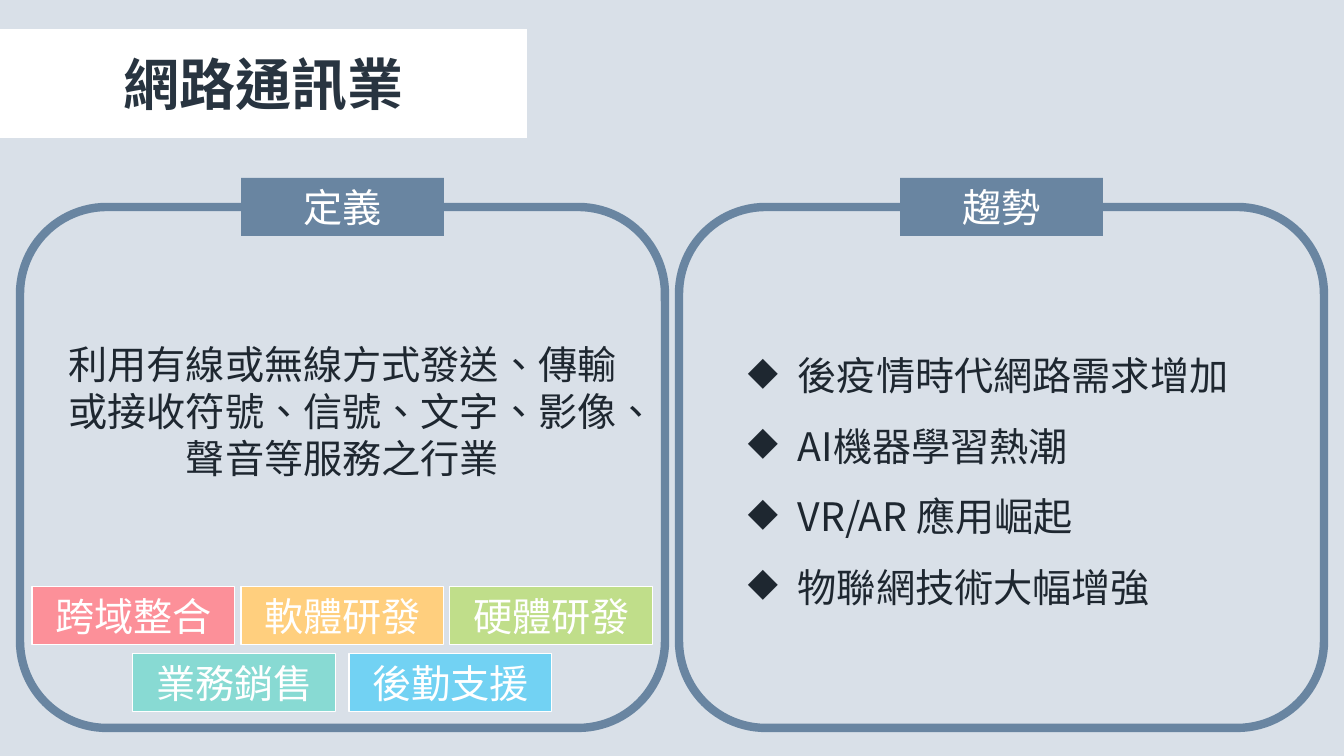
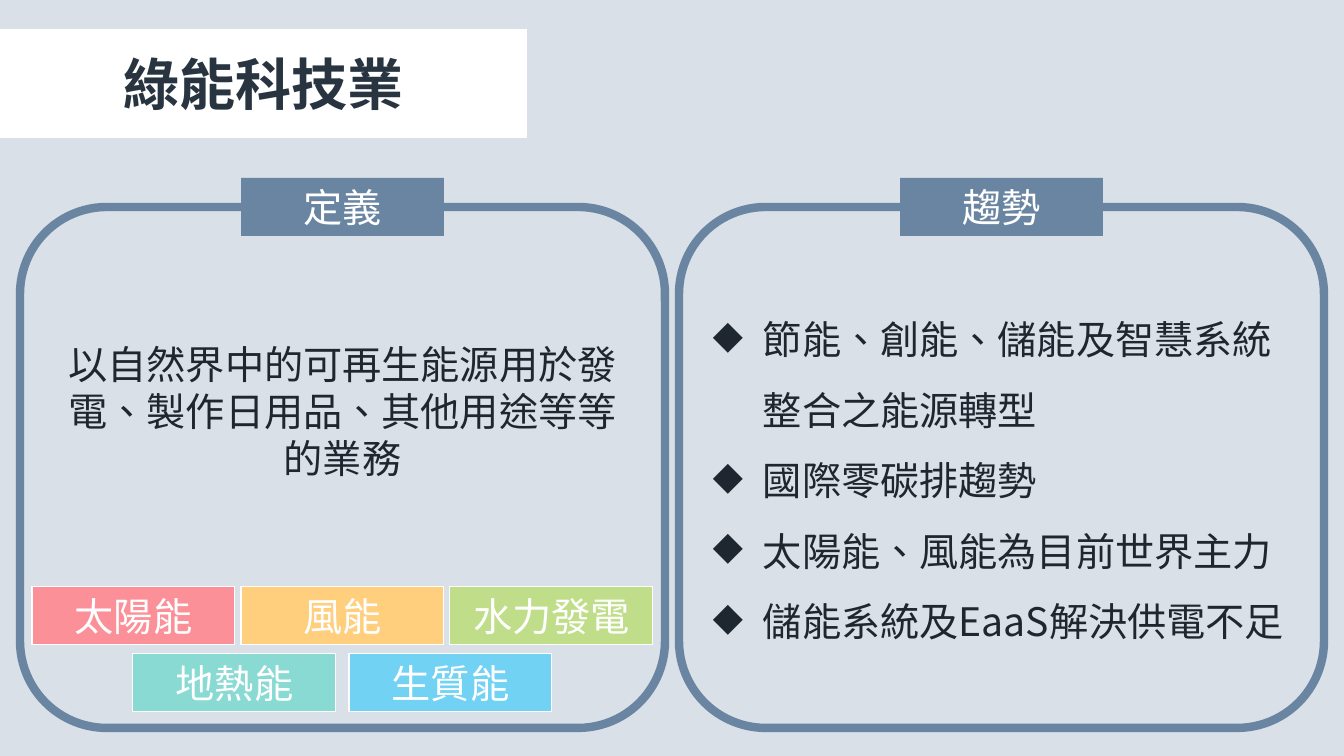
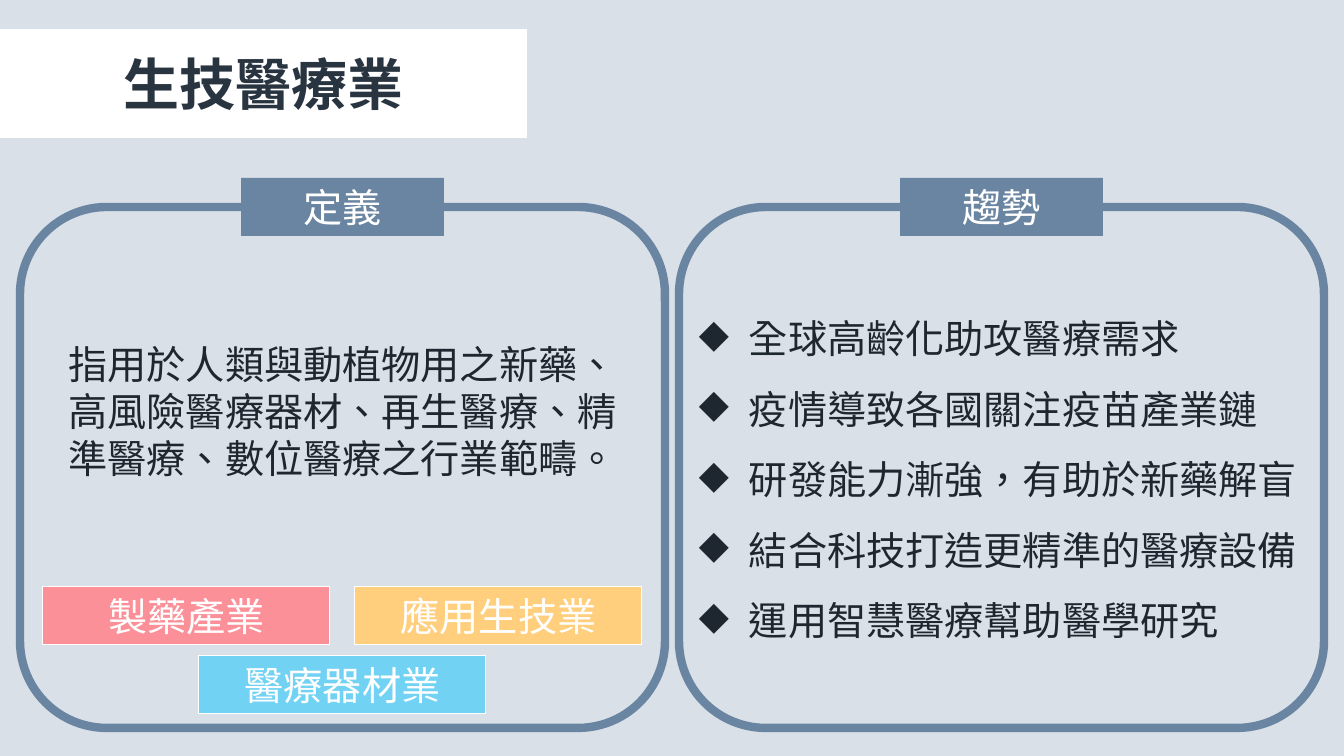
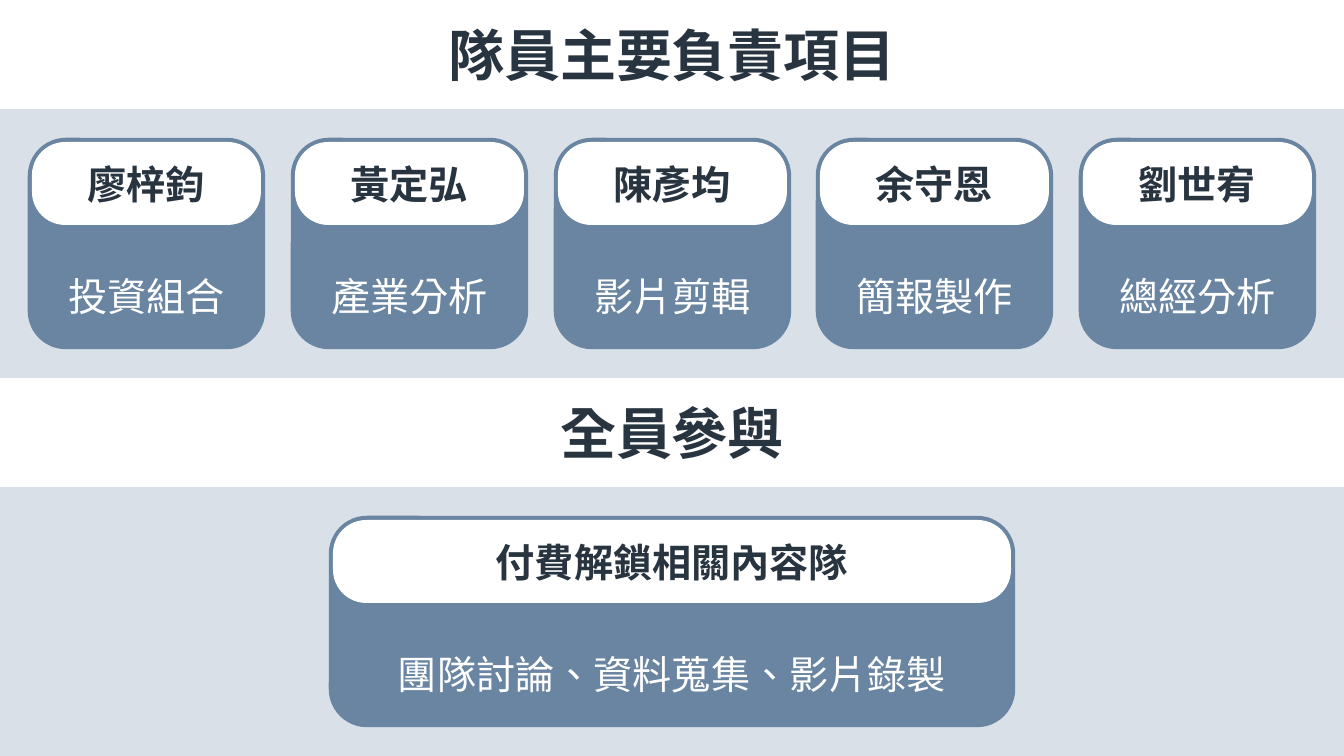
from lxml import etree
from pptx import Presentation, util as u
from pptx.dml.color import RGBColor
from pptx.enum import lang, shapes, text
from pptx.oxml.ns import qn

SLIDE_W, SLIDE_H = 1344, 756
EMU_PER_PX = 914400 / 100.8

FONT = "Noto Sans CJK JP"
TITLE_PT, BODY_PT = 40, 28
LINE_HEIGHT = 1.2

BACKGROUND = RGBColor(0xD9, 0xE0, 0xE8)
WHITE = RGBColor(0xFF, 0xFF, 0xFF)
STEEL = RGBColor(0x69, 0x85, 0xA1)
NAVY = RGBColor(0x28, 0x34, 0x40)
INK = RGBColor(0x1E, 0x27, 0x30)
PINK = RGBColor(0xFC, 0x90, 0x99)
AMBER = RGBColor(0xFF, 0xCF, 0x7E)
LIME = RGBColor(0xC0, 0xDE, 0x8A)
MINT = RGBColor(0x88, 0xDA, 0xD3)
SKY = RGBColor(0x72, 0xD2, 0xF3)

RECT = shapes.MSO_SHAPE.RECTANGLE
ROUND = shapes.MSO_SHAPE.ROUNDED_RECTANGLE
CENTER, LEFT = text.PP_ALIGN.CENTER, text.PP_ALIGN.LEFT
MIDDLE, TOP = text.MSO_ANCHOR.MIDDLE, text.MSO_ANCHOR.TOP

PANEL_W, PANEL_H, PANEL_TOP = 645, 521, 207
LEFT_PANEL_X, RIGHT_PANEL_X = 20, 679
TAB_W, TAB_H = 203, 58
CARD_H, CARD_HEAD_H = 203, 83

INDUSTRIES = [
    {
        "title": "網路通訊業",
        "definition": "利用有線或無線方式發送、傳輸或接收符號、信號、文字、影像、聲音等服務之行業",
        "tag_w": 203,
        "tag_pitch": 67,
        "tag_rows": [
            (6, [("跨域整合", PINK), ("軟體研發", AMBER), ("硬體研發", LIME)]),
            (13, [("業務銷售", MINT), ("後勤支援", SKY)]),
        ],
        "trend_box": (323, 527, 287),
        "trends": ["後疫情時代網路需求增加", "AI機器學習熱潮",
                   "VR/AR 應用崛起", "物聯網技術大幅增強"],
    },
    {
        "title": "綠能科技業",
        "definition": "以自然界中的可再生能源用於發電、製作日用品、其他用途等等的業務",
        "tag_w": 203,
        "tag_pitch": 67,
        "tag_rows": [
            (6, [("太陽能", PINK), ("風能", AMBER), ("水力發電", LIME)]),
            (13, [("地熱能", MINT), ("生質能", SKY)]),
        ],
        "trend_box": (287, 597, 359),
        "trends": ["節能、創能、儲能及智慧系統整合之能源轉型", "國際零碳排趨勢",
                   "太陽能、風能為目前世界主力", "儲能系統及EaaS解決供電不足"],
    },
    {
        "title": "生技醫療業",
        "definition": "指用於人類與動植物用之新藥、高風險醫療器材、再生醫療、精準醫療、"
                      "數位醫療之行業範疇。",
        "tag_w": 287,
        "tag_pitch": 69,
        "tag_rows": [
            (25, [("製藥產業", PINK), ("應用生技業", AMBER)]),
            (25, [("醫療器材業", SKY)]),
        ],
        "trend_box": (286, 624, 359),
        "trends": ["全球高齡化助攻醫療需求", "疫情導致各國關注疫苗產業鏈",
                   "研發能力漸強，有助於新藥解盲", "結合科技打造更精準的醫療設備",
                   "運用智慧醫療幫助醫學研究"],
    },
]

MEMBERS = [("廖梓鈞", "投資組合"), ("黃定弘", "產業分析"), ("陳彥均", "影片剪輯"),
           ("余守恩", "簡報製作"), ("劉世宥", "總經分析")]


def px(*lengths):
    return [u.Emu(round(n * EMU_PER_PX)) for n in lengths]


def add_bullet(p):
    pPr = p._p.get_or_add_pPr()
    indent, = px(50)
    pPr.set("marL", str(indent))
    pPr.set("indent", str(-indent))
    bullet = etree.Element(qn("a:buChar"), char="◆")
    pPr.insert_element_before(bullet, "a:tabLst", "a:defRPr", "a:extLst")


def write(sp, lines, color, size=BODY_PT, bold=False, align=CENTER,
          anchor=MIDDLE, spacing=1.0, bullets=False):
    tf = sp.text_frame
    tf.word_wrap = True
    tf.vertical_anchor = anchor
    for i, line in enumerate(lines):
        p = tf.add_paragraph() if i else tf.paragraphs[0]
        p.text = line
        p.alignment = align
        p.line_spacing = u.Pt(size * LINE_HEIGHT * spacing)
        p.font.name = FONT
        p.font.size = u.Pt(size)
        p.font.bold = bold
        p.font.color.rgb = color
        p.font.language_id = lang.MSO_LANGUAGE_ID.TRADITIONAL_CHINESE
        if bullets:
            add_bullet(p)


def add_box(slide, kind, x, y, w, h, fill=None, line=None, line_pt=0.75):
    sp = slide.shapes.add_shape(kind, *px(x, y, w, h))
    sp.shadow.inherit = False
    if fill is None:
        sp.fill.background()
    else:
        sp.fill.solid()
        sp.fill.fore_color.rgb = fill
    if line is None:
        sp.line.fill.background()
    else:
        sp.line.color.rgb = line
        sp.line.width = u.Pt(line_pt)
    return sp


def add_text(slide, x, y, w, h, lines, color, **style):
    write(slide.shapes.add_textbox(*px(x, y, w, h)), lines, color,
          anchor=TOP, **style)


def add_title_band(slide, title, y, w):
    band = add_box(slide, RECT, 0, y, w, 109, fill=WHITE)
    write(band, [title], NAVY, size=TITLE_PT, bold=True)


def add_panel(slide, x, heading):
    """Outlined panel with a heading tab on the middle of its top edge."""
    add_box(slide, ROUND, x, PANEL_TOP, PANEL_W, PANEL_H, line=STEEL, line_pt=6)
    tab = add_box(slide, RECT, x + (PANEL_W - TAB_W) // 2, PANEL_TOP - TAB_H // 2,
                  TAB_W, TAB_H, fill=STEEL)
    write(tab, [heading], WHITE)


def add_tags(slide, center, y, w, pitch, rows):
    """Rows of coloured tags, each row centred on the same axis."""
    for row, (gap, tags) in enumerate(rows):
        left = center - (len(tags) * (w + gap) - gap) // 2
        for col, (label, color) in enumerate(tags):
            tag = add_box(slide, RECT, left + col * (w + gap), y + row * pitch,
                          w, TAB_H, fill=color, line=WHITE)
            write(tag, [label], WHITE)


def add_card(slide, x, y, w, head, body):
    add_box(slide, ROUND, x, y, w, CARD_H, fill=STEEL, line=STEEL, line_pt=6)
    header = add_box(slide, ROUND, x, y, w, CARD_HEAD_H, fill=WHITE)
    header.adjustments[0] = 0.4
    write(header, [head], NAVY, bold=True)
    add_text(slide, x, y + 102, w, 74, [body], WHITE, spacing=1.5)


def new_slide(prs):
    slide = prs.slides.add_slide(prs.slide_layouts[6])
    slide.background.fill.solid()
    slide.background.fill.fore_color.rgb = BACKGROUND
    return slide


def industry_slide(prs, industry):
    slide = new_slide(prs)
    add_title_band(slide, industry["title"], 29, 527)

    add_panel(slide, LEFT_PANEL_X, "定義")
    add_text(slide, LEFT_PANEL_X + 24, PANEL_TOP + 128, PANEL_W - 48, 152,
             [industry["definition"]], INK)
    add_tags(slide, LEFT_PANEL_X + PANEL_W // 2, PANEL_TOP + 380,
             industry["tag_w"], industry["tag_pitch"], industry["tag_rows"])

    add_panel(slide, RIGHT_PANEL_X, "趨勢")
    top, w, h = industry["trend_box"]
    add_text(slide, RIGHT_PANEL_X + (PANEL_W - w) // 2, top, w, h,
             industry["trends"], INK, align=LEFT, spacing=1.5, bullets=True)


def team_slide(prs):
    slide = new_slide(prs)
    margin, card_w, wide_w = 32, 229, 678
    half = SLIDE_H // 2

    add_title_band(slide, "隊員主要負責項目", 0, SLIDE_W)
    step = (SLIDE_W - 2 * margin - card_w) / (len(MEMBERS) - 1)
    for i, (name, task) in enumerate(MEMBERS):
        add_card(slide, round(margin + i * step), 142, card_w, name, task)

    add_title_band(slide, "全員參與", half, SLIDE_W)
    add_card(slide, (SLIDE_W - wide_w) // 2, half + 142, wide_w,
             "付費解鎖相關內容隊", "團隊討論、資料蒐集、影片錄製")


def main():
    prs = Presentation()
    prs.slide_width, prs.slide_height = px(SLIDE_W, SLIDE_H)
    for industry in INDUSTRIES:
        industry_slide(prs, industry)
    team_slide(prs)
    prs.save("out.pptx")


if __name__ == "__main__":
    main()
